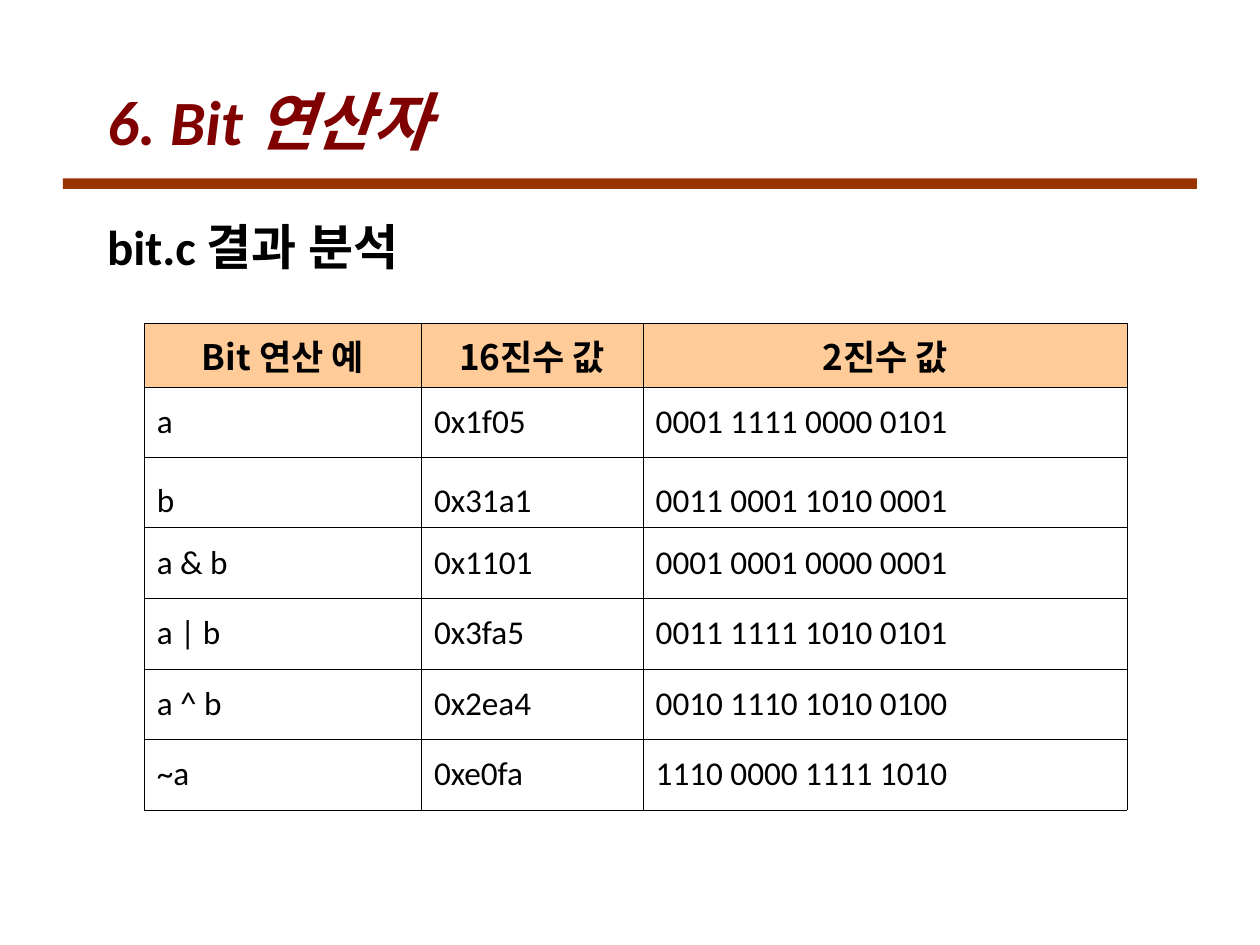
from lxml.etree import SubElement
from pptx import Presentation
from pptx.dml.color import RGBColor
from pptx.enum.shapes import MSO_SHAPE
from pptx.enum.text import MSO_ANCHOR, MSO_AUTO_SIZE, PP_ALIGN
from pptx.oxml.ns import qn
from pptx.util import Pt

TITLE = "6. Bit 연산자"
SUBTITLE = "bit.c 결과 분석"
HEADER = ("Bit 연산 예", "16진수 값", "2진수 값")
RESULTS = [
    ("a", "0x1f05", "0001 1111 0000 0101"),
    ("b", "0x31a1", "0011 0001 1010 0001"),
    ("a & b", "0x1101", "0001 0001 0000 0001"),
    ("a | b", "0x3fa5", "0011 1111 1010 0101"),
    ("a ^ b", "0x2ea4", "0010 1110 1010 0100"),
    ("~a", "0xe0fa", "1110 0000 1111 1010"),
]
LAST_OPERAND_ROW = 2
COLUMN_WIDTHS = (158.4, 126.7, 276.5)
HEADER_HEIGHT, RESULT_HEIGHT = 35.3, 40.3
THIN, THICK = 0.06, 1.08
LATIN, KOREAN = "Calibri", "Noto Sans CJK KR"


def color(hex_code):
    return RGBColor.from_string(hex_code)


def style(paragraph, size, hex_code="000000", name=LATIN, bold=False, italic=False):
    for run in paragraph.runs:
        font = run.font
        font.size, font.name = Pt(size), name
        font.bold, font.italic = bold, italic
        font.color.rgb = color(hex_code)
        SubElement(run._r.get_or_add_rPr(), qn("a:ea"), typeface=KOREAN)


def place(shape, left, top, width, height):
    shape.left, shape.top = Pt(left), Pt(top)
    shape.width, shape.height = Pt(width), Pt(height)


def fill_placeholder(shape, text, box, anchor):
    """Position a placeholder, set its text and return its paragraph."""
    place(shape, *box)
    frame = shape.text_frame
    frame.text = text
    frame.auto_size = MSO_AUTO_SIZE.NONE
    frame.vertical_anchor = anchor
    paragraph = frame.paragraphs[0]
    paragraph.alignment = PP_ALIGN.LEFT
    paragraph.space_before = Pt(0)
    return paragraph


def add_borders(cell, top, bottom):
    properties = cell._tc.get_or_add_tcPr()
    for side, width in (("L", THIN), ("R", THIN), ("T", top), ("B", bottom)):
        line = SubElement(properties, qn(f"a:ln{side}"), w=str(int(Pt(width))))
        SubElement(SubElement(line, qn("a:solidFill")), qn("a:srgbClr"), val="000000")


def fill_cell(cell, text, row):
    cell.text = text
    paragraph = cell.text_frame.paragraphs[0]
    cell.vertical_anchor = MSO_ANCHOR.BOTTOM if row == LAST_OPERAND_ROW else MSO_ANCHOR.MIDDLE
    add_borders(cell,
                top=THICK if row == LAST_OPERAND_ROW + 1 else THIN,
                bottom=THICK if row == LAST_OPERAND_ROW else THIN)
    if row == 0:
        cell.fill.solid()
        cell.fill.fore_color.rgb = color("FFCC99")
        paragraph.alignment = PP_ALIGN.CENTER
        style(paragraph, 20, name=KOREAN, bold=True)
    else:
        cell.fill.background()
        paragraph.alignment = PP_ALIGN.JUSTIFY
        style(paragraph, 19)


def add_results_table(slide):
    rows = [HEADER, *RESULTS]
    heights = [HEADER_HEIGHT] + [RESULT_HEIGHT] * len(RESULTS)
    table = slide.shapes.add_table(len(rows), len(HEADER), Pt(82.4), Pt(184.7),
                                   Pt(sum(COLUMN_WIDTHS)), Pt(sum(heights))).table
    table.first_row = table.horz_banding = False
    for column, width in zip(table.columns, COLUMN_WIDTHS):
        column.width = Pt(width)
    for row, (texts, height) in enumerate(zip(rows, heights)):
        table.rows[row].height = Pt(height)
        for column, text in enumerate(texts):
            fill_cell(table.cell(row, column), text, row)


def main():
    presentation = Presentation()
    presentation.slide_width, presentation.slide_height = Pt(720), Pt(540)
    slide = presentation.slides.add_slide(presentation.slide_layouts[1])

    rule = slide.shapes.add_shape(MSO_SHAPE.RECTANGLE, Pt(36), Pt(102), Pt(648), Pt(6))
    rule.shadow.inherit = False
    rule.fill.solid()
    rule.fill.fore_color.rgb = color("993300")
    rule.line.fill.background()

    title = fill_placeholder(slide.shapes.title, TITLE, (54, 36, 612, 66), MSO_ANCHOR.MIDDLE)
    style(title, 36, "800000", bold=True, italic=True)

    subtitle = fill_placeholder(slide.placeholders[1], SUBTITLE, (54, 120, 612, 48), MSO_ANCHOR.TOP)
    indent = subtitle._p.get_or_add_pPr()
    indent.set("marL", str(int(Pt(27))))
    indent.set("indent", str(int(Pt(-27))))
    SubElement(indent, qn("a:buNone"))
    style(subtitle, 28, bold=True)

    add_results_table(slide)
    presentation.save("out.pptx")


if __name__ == "__main__":
    main()
